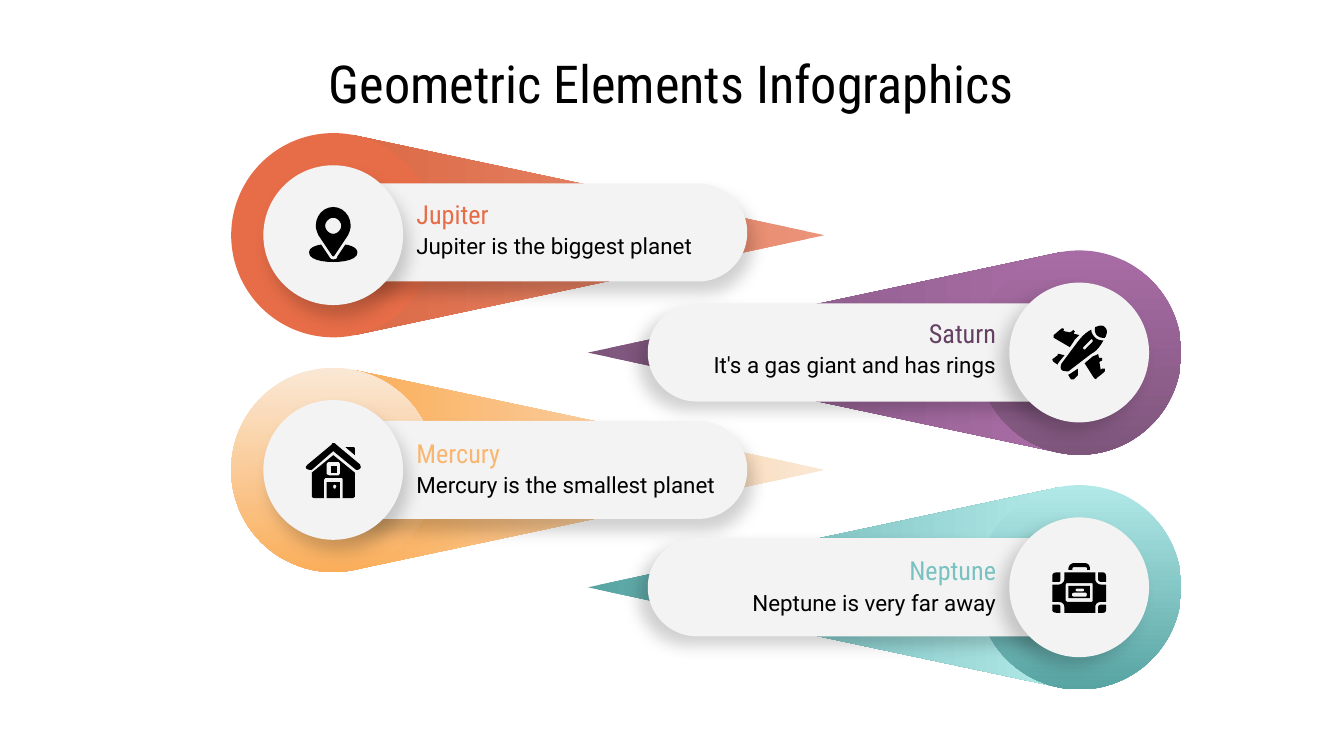
from lxml import etree
from pptx import Presentation
from pptx.dml.color import RGBColor
from pptx.enum.shapes import MSO_SHAPE
from pptx.enum.text import MSO_ANCHOR, PP_ALIGN
from pptx.oxml.ns import qn
from pptx.util import Emu, Inches, Pt

OVAL, PILL, TRIANGLE = MSO_SHAPE.OVAL, MSO_SHAPE.ROUNDED_RECTANGLE, MSO_SHAPE.ISOSCELES_TRIANGLE
LEFT, RIGHT, CENTER = PP_ALIGN.LEFT, PP_ALIGN.RIGHT, PP_ALIGN.CENTER
TOP, MIDDLE = MSO_ANCHOR.TOP, MSO_ANCHOR.MIDDLE

BLACK = RGBColor(0x00, 0x00, 0x00)
PANEL = RGBColor(0xF3, 0xF3, 0xF3)
ORANGE = RGBColor(0xE7, 0x6D, 0x48)
ORANGE_RAMP = (RGBColor(0xEB, 0x94, 0x79), RGBColor(0xDC, 0x6A, 0x47))
PLUM = RGBColor(0x64, 0x41, 0x62)
PLUM_RAMP = (RGBColor(0xA8, 0x6C, 0xA5), RGBColor(0x7E, 0x56, 0x7C))
AMBER = RGBColor(0xF9, 0xB6, 0x71)
AMBER_RAMP = (RGBColor(0xFA, 0xE8, 0xD5), RGBColor(0xFA, 0xAE, 0x5B))
TEAL = RGBColor(0x79, 0xC2, 0xC1)
TEAL_RAMP = (RGBColor(0xB1, 0xE9, 0xE8), RGBColor(0x57, 0xA4, 0xA3))

TITLE = "Geometric Elements Infographics"

# Icon outlines, in hundredths of an inch from the centre of the medallion
PIN = [
    "M0 -13C3 -13 6 -10 6 -7C6 -4 3 -1 0 -1C-3 -1 -6 -4 -6 -7C-6 -10 -3 -13 0 -13Z"
    "M0 -21C-7 -21 -13 -15 -13 -7C-13 -5 -12 -2 -11 0L-1 15C-1 16 1 16 1 15L11 0"
    "C12 -2 13 -5 13 -7C13 -15 7 -21 0 -21Z",
    "M-9 7C-15 8 -18 10 -18 13C-18 18 -9 20 0 20C9 20 18 18 18 13C18 10 15 8 9 7"
    "L3 16C3 18 1 18 0 18C-1 18 -2 18 -3 16Z",
]
PLANE = [
    "M-15 1C-16 1 -16 1 -16 2L-20 5C-20 5 -20 6 -19 7L-16 9C-16 8 -15 7 -15 7L-11 2Z",
    "M14 1C13 2 12 2 10 3L4 8L11 19C12 20 13 20 13 19C17 16 17 16 19 14C19 13 19 13 19 12"
    "C18 12 17 12 17 12L16 13L15 7L17 6C17 5 17 5 17 4C16 4 16 4 15 4L15 5Z",
    "M-13 -18L-19 -13C-19 -12 -19 -11 -19 -11L-7 -4L-3 -10C-2 -11 -1 -12 0 -13L-4 -14"
    "L-4 -15C-3 -15 -3 -16 -4 -16C-4 -17 -5 -17 -5 -16L-7 -15L-12 -16C-11 -17 -11 -18 -13 -18Z",
    "M-1 12L-7 16C-7 16 -8 16 -8 17L-6 20C-6 20 -5 20 -4 20L-1 17Z",
    "M16 -20C14 -20 13 -19 12 -19C11 -17 12 -14 13 -13C14 -12 16 -11 17 -11"
    "C18 -11 19 -11 19 -11C20 -12 20 -13 20 -13C21 -15 21 -17 19 -19C18 -20 17 -20 16 -20Z",
    "M9 -10C9 -10 10 -10 10 -9C10 -9 10 -8 10 -8L5 -3C5 -2 3 -2 3 -3C3 -3 3 -4 3 -4L8 -9Z"
    "M9 -17C5 -15 2 -12 -1 -8L-13 8C-14 10 -14 12 -13 13C-12 14 -9 14 -8 14L9 1"
    "C13 -1 16 -5 18 -9C15 -9 13 -10 12 -11C10 -13 9 -15 9 -17Z",
]
HOUSE = [
    "M9 -17L16 -11L16 -16C16 -17 15 -17 15 -17Z",
    "M1 11C2 11 3 12 2 13C2 14 1 14 1 14C0 14 0 13 0 12C0 11 1 11 1 11Z"
    "M-5 9L-5 21L5 21L5 9Z",
    "M-2 -3L-2 2L3 2L3 -3Z",
    "M0 -20C0 -20 -1 -20 -1 -19L-19 -4C-20 -3 -21 -2 -20 -1C-19 0 -17 0 -16 0L0 -14L17 0"
    "C18 0 19 0 20 -1C21 -2 20 -3 20 -4L2 -19C1 -20 1 -20 0 -20Z",
    "M4 -6C4 -6 5 -5 5 -4L5 3C5 3 4 4 4 4L-3 4C-4 4 -5 3 -5 3L-5 -4C-5 -5 -4 -6 -3 -6Z"
    "M0 -11L-16 2L-16 20C-16 20 -15 21 -14 21L-7 21L-7 8C-7 7 -6 6 -6 6L6 6"
    "C7 6 7 7 7 8L7 21L14 21C15 21 16 20 16 20L16 2Z",
]
SUITCASE = [
    "M-17 -11C-19 -11 -20 -10 -20 -8L-20 -4L-15 -4C-14 -4 -14 -5 -14 -6L-14 -11Z",
    "M-20 13L-20 17C-20 18 -19 19 -17 19L-14 19L-14 15C-14 14 -14 13 -15 13Z",
    "M14 -11L14 -6C14 -5 15 -4 16 -4L20 -4L20 -8C20 -10 19 -11 18 -11Z",
    "M16 13C15 13 14 14 14 15L14 19L18 19C19 19 20 18 20 17L20 13Z",
    "M3 1C4 1 4 3 3 3L-2 3C-3 3 -3 1 -2 1ZM5 4C6 4 6 7 5 7L-4 7C-6 7 -6 4 -4 4Z"
    "M-8 -1L-8 8L8 8L8 -1Z",
    "M9 -3C10 -3 10 -3 10 -2L10 10C10 10 10 11 9 11L-9 11C-9 11 -10 10 -10 10L-10 -2"
    "C-10 -3 -9 -3 -9 -3ZM-11 -11L-11 -6C-11 -4 -13 -2 -15 -2L-20 -2L-20 11L-15 11"
    "C-13 11 -11 12 -11 15L-11 19L12 19L12 15C12 12 14 11 16 11L20 11L20 -2L16 -2"
    "C14 -2 12 -4 12 -6L12 -11Z",
    "M-4 -18C-6 -18 -8 -16 -8 -14L-8 -13L-5 -13L-5 -14C-5 -15 -4 -15 -4 -15L4 -15"
    "C5 -15 6 -15 6 -14L6 -13L8 -13L8 -14C8 -16 7 -18 4 -18Z",
]

# Name, description, heading colour, pointer ramp, disc fill, icon, bar shift, text shift
PLANETS = [
    ("Jupiter", "Jupiter is the biggest planet", ORANGE, ORANGE_RAMP, ORANGE, PIN, -0.02, 0.08),
    ("Saturn", "It's a gas giant and has rings", PLUM, PLUM_RAMP, PLUM_RAMP, PLANE, 0, 0.09),
    ("Mercury", "Mercury is the smallest planet", AMBER, AMBER_RAMP, AMBER_RAMP, HOUSE, 0, 0.11),
    ("Neptune", "Neptune is very far away", TEAL, TEAL_RAMP, TEAL_RAMP, SUITCASE, 0, 0.11),
]
# Medallion centre, bar centre, pointer turn, shadow direction, alignment
SIDES = [
    dict(hub=2.48, bar=3.89, tip=1, turn=90, shade=64, align=LEFT),
    dict(hub=8.03, bar=6.49, tip=-1, turn=270, shade=137, align=RIGHT),
]
FIRST_ROW, LAST_ROW = 1.75, 4.37
ROW_PITCH = (LAST_ROW - FIRST_ROW) / (len(PLANETS) - 1)
TEXT_WIDTH, TEXT_GAP = 2.57, 0.52
WIDE_TEXT = {"Mercury": 2.88}
CURVE_STEPS = 6


def paint(shape, fill):
    """Fill with one colour or a top-to-bottom pair, without line or shadow."""
    if isinstance(fill, RGBColor):
        shape.fill.solid()
        shape.fill.fore_color.rgb = fill
    else:
        shape.fill.gradient()
        shape.fill.gradient_angle = 270
        for stop, color in zip(shape.fill.gradient_stops, fill):
            stop.color.rgb = color
    shape.line.fill.background()
    shape.shadow.inherit = False


def add_centered(slide, kind, x, y, width, height, fill):
    shape = slide.shapes.add_shape(kind, Inches(x - width / 2), Inches(y - height / 2),
                                   Inches(width), Inches(height))
    paint(shape, fill)
    return shape


def cast_shadow(shape, direction):
    effects = shape._element.spPr.find(qn("a:effectLst"))
    outer = etree.SubElement(effects, qn("a:outerShdw"), blurRad=str(Pt(9)), dist=str(Pt(6.8)),
                             dir=str(direction * 60000), algn="bl", rotWithShape="0")
    color = etree.SubElement(outer, qn("a:srgbClr"), val=str(BLACK))
    etree.SubElement(color, qn("a:alpha"), val="18000")


def add_text(slide, text, box, font, size, color, align, anchor):
    area = slide.shapes.add_textbox(*map(Inches, box))
    frame = area.text_frame
    frame.text = text
    frame.word_wrap = True
    frame.vertical_anchor = anchor
    frame.margin_left = frame.margin_right = frame.margin_top = frame.margin_bottom = Inches(0.1)
    frame.paragraphs[0].alignment = align
    run_font = frame.paragraphs[0].runs[0].font
    run_font.name, run_font.size, run_font.color.rgb = font, Pt(size), color


def flatten(contour):
    """Turn one M/L/C contour into points, with its curves cut into short lines."""
    points = []
    for step in contour.replace("L", "|L").replace("C", "|C").split("|"):
        numbers = [int(n) for n in step[1:].split()]
        pairs = list(zip(numbers[::2], numbers[1::2]))
        if step[0] != "C":
            points += pairs
            continue
        curve = [points[-1], *pairs]
        for i in range(1, CURVE_STEPS + 1):
            t = i / CURVE_STEPS
            weights = ((1 - t) ** 3, 3 * t * (1 - t) ** 2, 3 * t * t * (1 - t), t ** 3)
            points.append(tuple(sum(w * p[axis] for w, p in zip(weights, curve))
                                for axis in (0, 1)))
    return points


def add_icon(slide, outlines, x, y):
    for outline in outlines:
        builder = None
        for contour in outline.split("Z")[:-1]:
            start, *rest = [(Inches(x + px / 100), Inches(y + py / 100))
                            for px, py in flatten(contour)]
            if builder is None:
                builder = slide.shapes.build_freeform(*start, scale=1.0)
            else:
                builder.move_to(*start)
            builder.add_line_segments(rest, close=True)
        paint(builder.convert_to_shape(Emu(0), Emu(0)), BLACK)


def add_planet(slide, row, planet):
    name, description, accent, ramp, disc_fill, icon, bar_shift, text_shift = planet
    side = SIDES[row % 2]
    x, y = side["hub"], FIRST_ROW + row * ROW_PITCH

    pointer = add_centered(slide, TRIANGLE, x + 1.9 * side["tip"], y, 1.49, 3.51,
                           ramp[::side["tip"]])
    pointer.rotation = side["turn"]
    add_centered(slide, OVAL, x, y, 1.52, 1.52, disc_fill)
    bar = add_centered(slide, PILL, side["bar"], y + bar_shift, 3.34, 0.73, PANEL)
    bar.adjustments[0] = 0.5
    medallion = add_centered(slide, OVAL, x, y, 1.04, 1.04, PANEL)
    for raised in (bar, medallion):
        cast_shadow(raised, side["shade"])
    add_icon(slide, icon, x, y)

    width = WIDE_TEXT.get(name, TEXT_WIDTH)
    left = x + TEXT_GAP if side["tip"] > 0 else x - TEXT_GAP - width
    middle = y + text_shift
    add_text(slide, description, (left, middle - 0.24, width, 0.48),
             "Roboto", 12, BLACK, side["align"], MIDDLE)
    add_text(slide, name, (left, middle - 0.37, width, 0.27),
             "Roboto Condensed", 14, accent, side["align"], MIDDLE)


def main():
    deck = Presentation()
    deck.slide_width = Inches(10)
    deck.slide_height = deck.slide_width * 9 // 16
    slide = deck.slides.add_slide(deck.slide_layouts[6])
    add_text(slide, TITLE, (0.39, 0.28, 9.21, 0.63), "Roboto Condensed", 28, BLACK, CENTER, TOP)
    for row, planet in enumerate(PLANETS):
        add_planet(slide, row, planet)
    deck.save("out.pptx")


if __name__ == "__main__":
    main()
